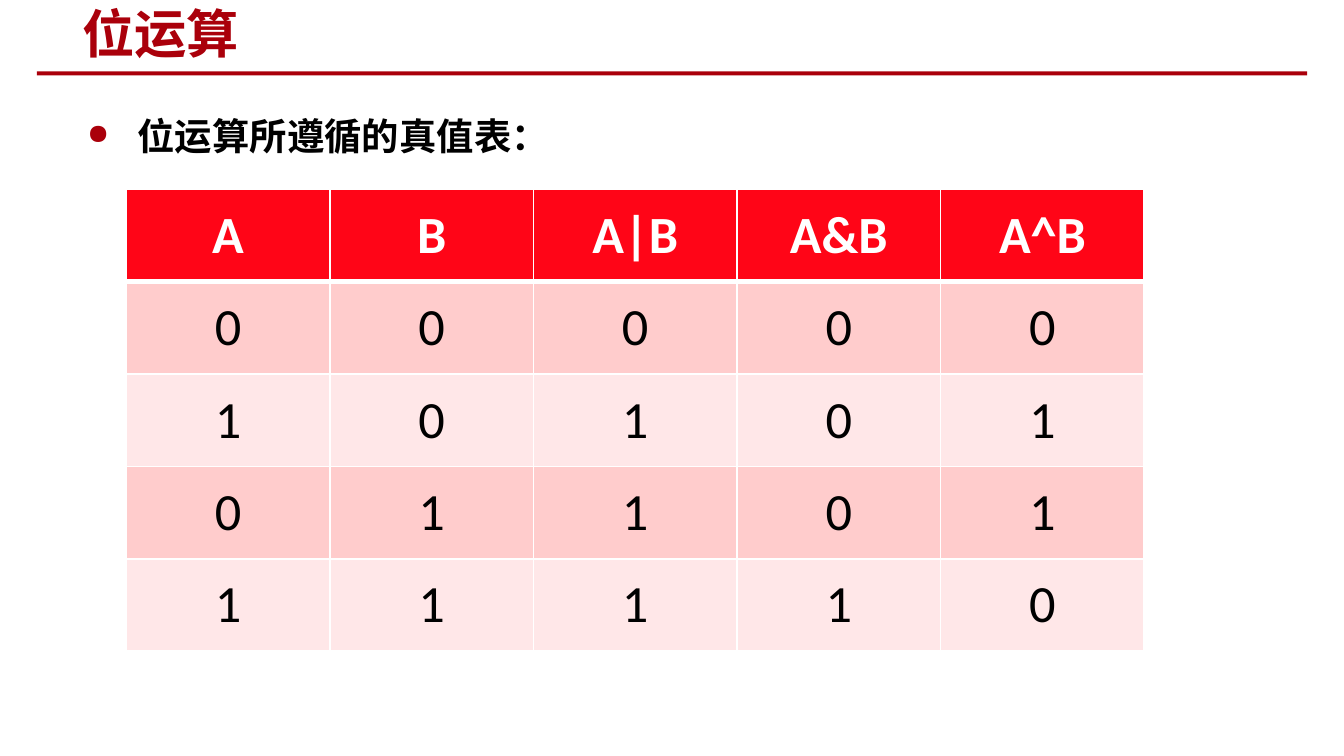
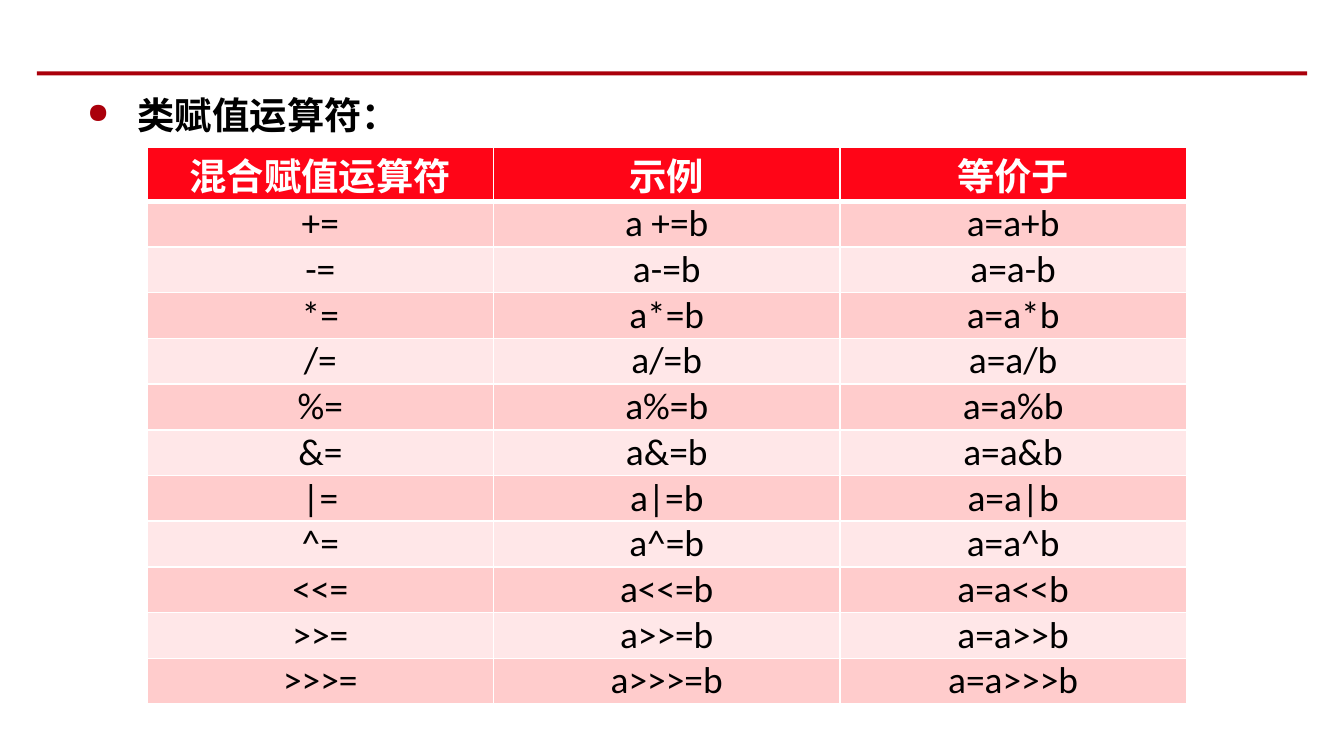
import dataclasses

import lxml.etree
import pptx
import pptx.dml.color
import pptx.enum.shapes
import pptx.enum.text
import pptx.oxml.ns
import pptx.presentation
import pptx.slide
import pptx.table
import pptx.text.text
import pptx.util

Pt = pptx.util.Pt
qn = pptx.oxml.ns.qn

COLORS = {
    "accent": "AA000B",
    "header": "FF0517",
    "band_dark": "FFCCCC",
    "band_light": "FFE7E8",
    "black": "000000",
    "white": "FFFFFF",
}
CJK_FONT = "Noto Sans CJK SC"
TABLE_FONT = "Calibri"


@dataclasses.dataclass
class TableSpec:
    rows: list[list[str]]
    left: float
    top: float
    col_width: float
    header_height: float
    row_height: float
    size: float


@dataclasses.dataclass
class SlideSpec:
    title: str
    bullet: str
    bullet_top: float
    table: TableSpec


def rgb(name: str) -> pptx.dml.color.RGBColor:
    return pptx.dml.color.RGBColor.from_string(COLORS[name])


def style_paragraph(p: pptx.text.text._Paragraph, size: float, font: str, color: str, bold: bool) -> None:
    for r in p.runs:
        r.font.size = Pt(size)
        r.font.name = font
        r.font.bold = bold
        r.font.color.rgb = rgb(color)
        ea = lxml.etree.SubElement(r.font._element, qn("a:ea"))
        ea.set("typeface", CJK_FONT)


def add_text(s: pptx.slide.Slide, text: str, left: float, top: float, width: float, height: float,
             size: float, color: str) -> pptx.text.text.TextFrame:
    tf = s.shapes.add_textbox(Pt(left), Pt(top), Pt(width), Pt(height)).text_frame
    tf.word_wrap = True
    tf.text = text
    style_paragraph(tf.paragraphs[0], size, CJK_FONT, color, True)
    return tf


def add_rule(s: pptx.slide.Slide) -> None:
    sp = s.shapes.add_shape(pptx.enum.shapes.MSO_SHAPE.RECTANGLE, Pt(19.8), Pt(38.2), Pt(680.4), Pt(2.2))
    sp.shadow.inherit = False
    sp.fill.solid()
    sp.fill.fore_color.rgb = rgb("accent")
    sp.line.fill.background()


def add_title(s: pptx.slide.Slide, text: str) -> None:
    tf = add_text(s, text, 37, 1.5, 381.6, 32.4, 28, "accent")
    tf.vertical_anchor = pptx.enum.text.MSO_ANCHOR.MIDDLE


def add_bullet(s: pptx.slide.Slide, text: str, top: float) -> None:
    p = add_text(s, text, 39.6, top, 646.6, 163.4, 20, "black").paragraphs[0]
    p.line_spacing = 1.5
    p.space_before = Pt(4)
    pPr = p._p.get_or_add_pPr()
    pPr.set("marL", str(Pt(27)))
    pPr.set("indent", str(Pt(-27)))
    color = lxml.etree.SubElement(pPr, qn("a:buClr"))
    lxml.etree.SubElement(color, qn("a:srgbClr")).set("val", COLORS["accent"])
    lxml.etree.SubElement(pPr, qn("a:buSzPct")).set("val", "75000")
    lxml.etree.SubElement(pPr, qn("a:buChar")).set("char", "●")


def add_border(cell: pptx.table._Cell, edge: str, width: float) -> None:
    ln = lxml.etree.SubElement(cell._tc.get_or_add_tcPr(), qn(f"a:ln{edge}"))
    ln.set("w", str(Pt(width)))
    fill = lxml.etree.SubElement(ln, qn("a:solidFill"))
    lxml.etree.SubElement(fill, qn("a:srgbClr")).set("val", COLORS["white"])


def style_cell(cell: pptx.table._Cell, row: int, size: float) -> None:
    is_header = row == 0
    thick_edge = {0: "B", 1: "T"}.get(row)
    for edge in "LRTB":
        add_border(cell, edge, 3 if edge == thick_edge else 1)
    cell.fill.solid()
    cell.fill.fore_color.rgb = rgb("header" if is_header else "band_dark" if row % 2 else "band_light")
    cell.margin_left = cell.margin_right = Pt(5)
    cell.margin_top = cell.margin_bottom = 0
    cell.vertical_anchor = pptx.enum.text.MSO_ANCHOR.MIDDLE
    p = cell.text_frame.paragraphs[0]
    p.alignment = pptx.enum.text.PP_ALIGN.CENTER
    style_paragraph(p, size, TABLE_FONT, "white" if is_header else "black", is_header)


def add_table(s: pptx.slide.Slide, spec: TableSpec) -> None:
    n_cols = len(spec.rows[0])
    heights = [spec.header_height] + [spec.row_height] * (len(spec.rows) - 1)
    table = s.shapes.add_table(len(spec.rows), n_cols, Pt(spec.left), Pt(spec.top),
                               Pt(spec.col_width * n_cols), Pt(sum(heights))).table
    for col in table.columns:
        col.width = Pt(spec.col_width)
    for i, values in enumerate(spec.rows):
        table.rows[i].height = Pt(heights[i])
        for j, value in enumerate(values):
            cell = table.cell(i, j)
            cell.text_frame.text = value
            style_cell(cell, i, spec.size)


def add_slide(prs: pptx.presentation.Presentation, spec: SlideSpec) -> None:
    s = prs.slides.add_slide(prs.slide_layouts[6])
    add_rule(s)
    add_bullet(s, spec.bullet, spec.bullet_top)
    if spec.title:
        add_title(s, spec.title)
    add_table(s, spec.table)


def truth_rows() -> list[list[str]]:
    rows = [["A", "B", "A|B", "A&B", "A^B"]]
    for b in (0, 1):
        for a in (0, 1):
            rows.append([str(v) for v in (a, b, a | b, a & b, a ^ b)])
    return rows


def assignment_rows() -> list[list[str]]:
    rows = [["混合赋值运算符", "示例", "等价于"], ["+=", "a +=b", "a=a+b"]]
    for op in ("-", "*", "/", "%", "&", "|", "^", "<<", ">>", ">>>"):
        rows.append([f"{op}=", f"a{op}=b", f"a=a{op}b"])
    return rows


def main() -> None:
    prs = pptx.Presentation()
    prs.slide_width, prs.slide_height = Pt(720), Pt(405)
    slides = [
        SlideSpec("位运算", "位运算所遵循的真值表：", 45,
                  TableSpec(truth_rows(), 67.6, 101.4, 109.1, 49.5, 49.5, 28)),
        SlideSpec("", "类赋值运算符：", 34,
                  TableSpec(assignment_rows(), 78.8, 78.8, 185.6, 29, 24.5, 20)),
    ]
    for spec in slides:
        add_slide(prs, spec)
    prs.save("out.pptx")


if __name__ == "__main__":
    main()
